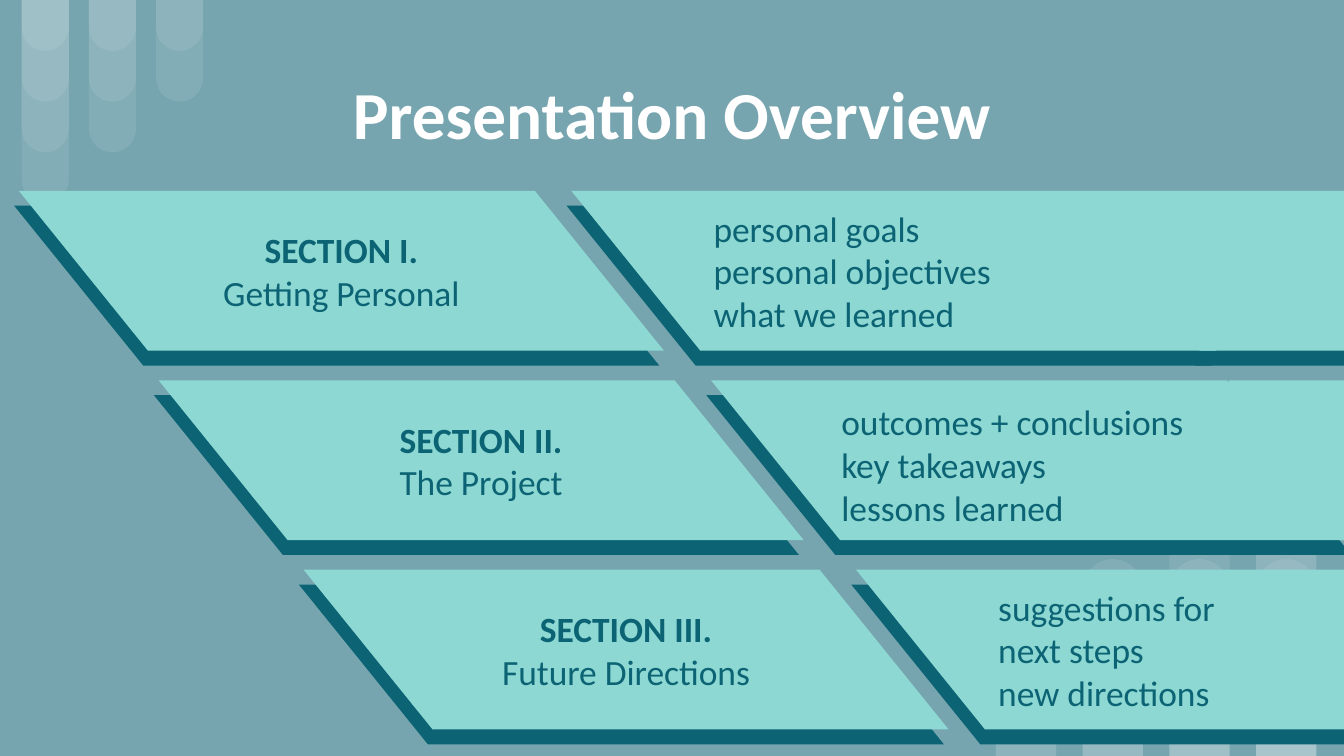
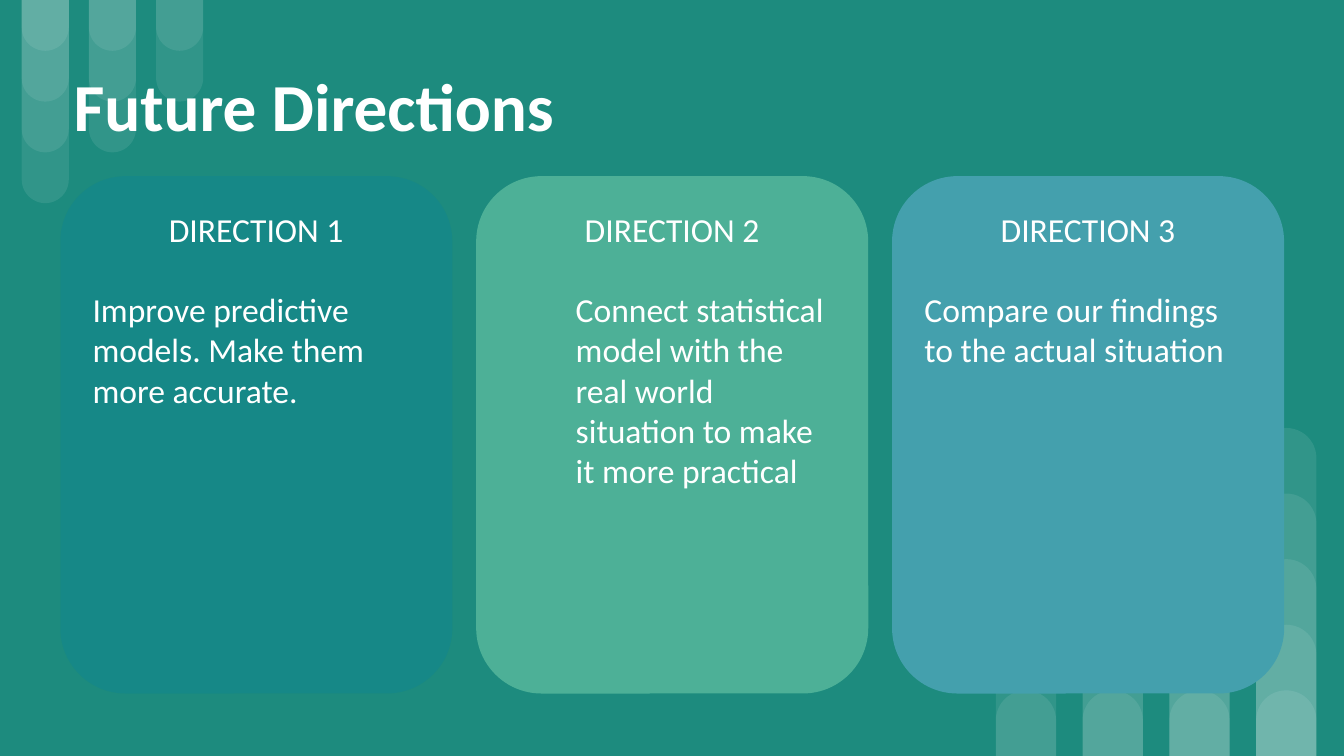
from dataclasses import dataclass

from lxml import etree
from pptx import Presentation
from pptx import util as u
from pptx.dml.color import RGBColor
from pptx.enum import shapes, text
from pptx.oxml.ns import qn


@dataclass(frozen=True)
class Theme:
    font: str = "Calibri"
    white: str = "FFFFFF"
    ink: str = "0B6374"
    band: str = "8DD8D3"
    overview_back: str = "76A5AF"
    directions_back: str = "1D8B7E"
    title_size: int = 36
    band_size: int = 19
    card_size: int = 18


theme = Theme()
kinds = shapes.MSO_SHAPE
align = text.PP_ALIGN
anchors = text.MSO_ANCHOR


def add_block(parent, kind, bounds, color, opacity=100):
    """Add a flat, borderless shape; bounds are left, top, width, height in cm."""
    block = parent.add_shape(kind, *[u.Cm(length) for length in bounds])
    block.shadow.inherit = False
    block.line.fill.background()
    block.fill.solid()
    block.fill.fore_color.rgb = RGBColor.from_string(color)
    if opacity < 100:
        tint = block.element.spPr.find(".//" + qn("a:srgbClr"))
        etree.SubElement(tint, qn("a:alpha")).set("val", str(opacity * 1000))
    return block


def write(box, lines, size, color, alignment, anchor, bold_first=False):
    """Set one paragraph per line, in the theme font, with even insets."""
    frame = box.text_frame
    frame.text = "\n".join(lines)
    frame.word_wrap = True
    frame.auto_size = text.MSO_AUTO_SIZE.NONE
    frame.vertical_anchor = anchor
    frame.margin_left = frame.margin_right = u.Cm(0.25)
    frame.margin_top = frame.margin_bottom = u.Cm(0.25)
    for number, para in enumerate(frame.paragraphs):
        para.alignment = alignment
        para.space_before = u.Pt(0)
        for span in para.runs:
            span.font.name = theme.font
            span.font.size = u.Pt(size)
            span.font.bold = bold_first and number == 0
            span.font.color.rgb = RGBColor.from_string(color)


deck = Presentation()
deck.slide_width, deck.slide_height = u.Cm(25.4), u.Cm(14.29)
overview = deck.slides.add_slide(deck.slide_layouts[1])
directions = deck.slides.add_slide(deck.slide_layouts[5])

# Corner bars, shared through the slide master:
# left, column pitch, bar width, height step, bars per column, hanging from the top
corners = [
    (18.82, 1.64, 1.14, 1.24, (2, 3, 4, 5), False),
    (0.41, 1.27, 0.89, 0.96, (4, 3, 2), True),
]
for left, pitch, width, step, counts, hanging in corners:
    group = overview.shapes.add_group_shape()
    for column, count in enumerate(counts):
        for level in range(1, count + 1):
            height = step * level
            top = 0 if hanging else 14.29 - height
            bounds = (left + pitch * column, top, width, height)
            bar = add_block(group.shapes, kinds.ROUND_2_SAME_RECTANGLE, bounds, theme.white, 9)
            bar.adjustments[0], bar.adjustments[1] = 0.5, 0
            bar.rotation = 180 if hanging else 0
    deck.slide_master.shapes.element.insert(2, group.element)

# Backgrounds and titles
titles = [
    (overview, theme.overview_back, "Presentation Overview", 1.45, 1.37, align.CENTER, anchors.MIDDLE),
    (directions, theme.directions_back, "Future Directions", 0.97, 2.16, align.LEFT, anchors.TOP),
]
for page, back, words, top, height, alignment, anchor in titles:
    page.background.fill.solid()
    page.background.fill.fore_color.rgb = RGBColor.from_string(back)
    title = page.shapes.title
    title.left, title.top = u.Cm(1.14), u.Cm(top)
    title.width, title.height = u.Cm(23.11), u.Cm(height)
    write(title, [words], theme.title_size, theme.white, alignment, anchor, bold_first=True)

# Overview: slanted bands, the right ones running to the slide edge
band_width, band_height = 12.19, 3.02
first_top, row_pitch, column_pitch = 3.61, 3.58, 10.44
bands = [
    (21.82, 3.86, 3.84, 3.05, theme.ink, None),
    (23.22, first_top + row_pitch, 2.9, band_height, theme.band, None),
    (20.52, first_top, 6.22, band_height, theme.band, None),
]
sections = [
    (0.36, ["SECTION I.", "Getting Personal"],
     ["personal goals", "personal objectives", "what we learned"]),
    (3.0, ["SECTION II.", "The Project"], None),
    (5.74, ["SECTION III.", "Future Directions"],
     ["suggestions for", "next steps", "new directions"]),
]
for column in range(2):
    for row, (indent, *labels) in enumerate(sections):
        left, top = indent + column_pitch * column, first_top + row_pitch * row
        bands.append((left - 0.09, top + 0.28, band_width, band_height, theme.ink, None))
        bands.append((left, top, band_width, band_height, theme.band, labels[column]))

for *bounds, color, lines in bands:
    band = add_block(overview.shapes, kinds.FLOWCHART_DATA, bounds, color)
    band.element.spPr.xfrm.set("flipH", "1")
    if lines:
        is_heading = lines[0].startswith("SECTION")
        write(band, lines, theme.band_size, theme.ink,
              align.CENTER if is_heading else align.LEFT, anchors.MIDDLE, is_heading)

# The second section's list lies over its band
outcomes = overview.placeholders[1]
outcomes.left, outcomes.top = u.Cm(15.65), u.Cm(7.32)
outcomes.width, outcomes.height = u.Cm(9.98), u.Cm(1.83)
write(outcomes, ["outcomes + conclusions", "key takeaways", "lessons learned"],
      theme.band_size, theme.ink, align.LEFT, anchors.TOP)
for para in outcomes.text_frame.paragraphs:
    properties = para._p.get_or_add_pPr()
    properties.set("marL", "0")
    properties.set("indent", "0")
    etree.SubElement(properties, qn("a:buNone"))
overview.shapes.element.append(outcomes.element)

# Directions: three cards
cards = [
    ("15888A", 76, 0, "Improve predictive models. Make them more accurate."),
    ("4DB097", 100, 1.27,
     "Connect statistical model with the real world situation to make it more practical"),
    ("44A0AD", 100, 0, "Compare our findings to the actual situation"),
]
for number, (color, opacity, indent, words) in enumerate(cards):
    bounds = (1.14 + 7.86 * number, 3.33, 7.41, 9.78)
    card = add_block(directions.shapes, kinds.ROUNDED_RECTANGLE, bounds, color, opacity)
    write(card, [f"DIRECTION {number + 1}", words], theme.card_size, theme.white,
          align.LEFT, anchors.TOP)
    heading, body = card.text_frame.paragraphs
    heading.alignment = align.CENTER
    body.space_before = u.Pt(21.6)
    body._p.get_or_add_pPr().set("marL", str(u.Cm(indent)))

deck.save("out.pptx")
